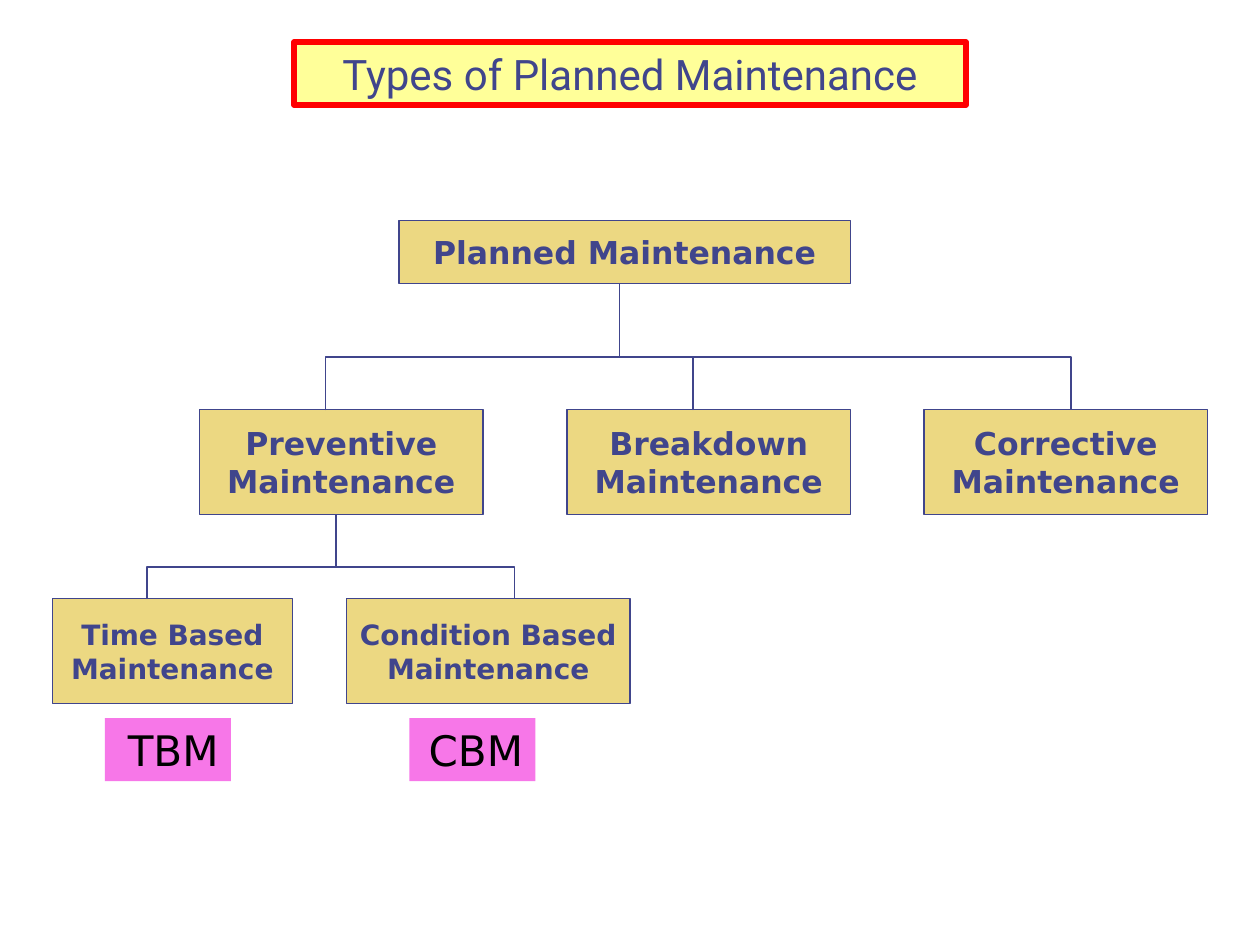
from dataclasses import dataclass

from pptx import Presentation
from pptx.dml.color import RGBColor
from pptx.enum.shapes import MSO_SHAPE
from pptx.enum.text import MSO_ANCHOR, PP_ALIGN
from pptx.util import Pt


@dataclass(frozen=True)
class Theme:
    ink: RGBColor = RGBColor.from_string("40458C")
    box: RGBColor = RGBColor.from_string("ECD882")
    tag: RGBColor = RGBColor.from_string("F777E8")
    tag_text: RGBColor = RGBColor.from_string("000000")
    banner: RGBColor = RGBColor.from_string("FFFF99")
    banner_line: RGBColor = RGBColor.from_string("FF0000")
    title_font: str = "Roboto"
    body_font: str = "DejaVu Sans"
    large: int = 24
    medium: int = 18
    small: int = 16


THEME = Theme()
BOX_W, BOX_H = 162, 60


def paint(sp, fill, line=None, weight=0.75):
    sp.fill.solid()
    sp.fill.fore_color.rgb = fill
    if line is None:
        sp.line.fill.background()
    else:
        sp.line.color.rgb = line
        sp.line.width = Pt(weight)


def write(sp, text, size, color, font, bold=False,
          align=PP_ALIGN.CENTER, anchor=MSO_ANCHOR.MIDDLE, wrap=True):
    tf = sp.text_frame
    tf.word_wrap = wrap
    tf.vertical_anchor = anchor
    p = tf.paragraphs[0]
    p.alignment = align
    r = p.add_run()
    r.text = text
    r.font.size = Pt(size)
    r.font.name = font
    r.font.bold = bold
    r.font.color.rgb = color


def add_title(s, text):
    sp = s.shapes.title
    sp.left, sp.top, sp.width, sp.height = Pt(168), Pt(24), Pt(384), Pt(36)
    paint(sp, THEME.banner, THEME.banner_line, 3)
    write(sp, text, THEME.large, THEME.ink, THEME.title_font,
          anchor=MSO_ANCHOR.TOP)


def add_rect(s, left, top, width, height):
    sp = s.shapes.add_shape(MSO_SHAPE.RECTANGLE, Pt(left), Pt(top),
                            Pt(width), Pt(height))
    sp.shadow.inherit = False
    return sp


def add_box(s, text, left, top, width=BOX_W, height=BOX_H,
            size=THEME.medium, wrap=True):
    sp = add_rect(s, left, top, width, height)
    paint(sp, THEME.box, THEME.ink)
    write(sp, text, size, THEME.ink, THEME.body_font, bold=True, wrap=wrap)


def add_tag(s, text, left):
    sp = add_rect(s, left, 410.4, 72, 36)
    paint(sp, THEME.tag)
    write(sp, text, THEME.large, THEME.tag_text, THEME.body_font,
          align=PP_ALIGN.RIGHT, anchor=MSO_ANCHOR.TOP)


def add_branch(s, trunk_x, top, bar_y, bottom, drops):
    """One line from the parent along a bar, dropping to each child."""
    points = [(trunk_x, bar_y)]
    for x in drops:
        points += [(x, bar_y), (x, bottom), (x, bar_y)]
    points.pop()
    builder = s.shapes.build_freeform(Pt(trunk_x), Pt(top))
    builder.add_line_segments([(Pt(x), Pt(y)) for x, y in points], close=False)
    sp = builder.convert_to_shape()
    sp.shadow.inherit = False
    sp.fill.background()
    sp.line.color.rgb = THEME.ink
    sp.line.width = Pt(0.75)


def main():
    prs = Presentation()
    prs.slide_width, prs.slide_height = Pt(720), Pt(540)
    s = prs.slides.add_slide(prs.slide_layouts[5])
    add_title(s, "Types of Planned Maintenance")

    # Root
    add_box(s, "Planned Maintenance", 228, 126, 258, 36, wrap=False)

    # Three types
    for kind, left in (("Preventive", 114), ("Breakdown", 324),
                       ("Corrective", 528)):
        add_box(s, f"{kind} Maintenance", left, 234)

    # Preventive kinds with their abbreviations
    for kind, left, width, tag, tag_left in (
            ("Time", 30, 137, "TBM", 60),
            ("Condition", 198, BOX_W, "CBM", 234)):
        add_box(s, f"{kind} Based Maintenance", left, 342, width,
                size=THEME.small)
        add_tag(s, tag, tag_left)

    # Tree lines
    add_branch(s, 354, 162, 204, 234, (186, 396, 612))
    add_branch(s, 192, 294, 324, 342, (84, 294))

    prs.save("out.pptx")


if __name__ == "__main__":
    main()
